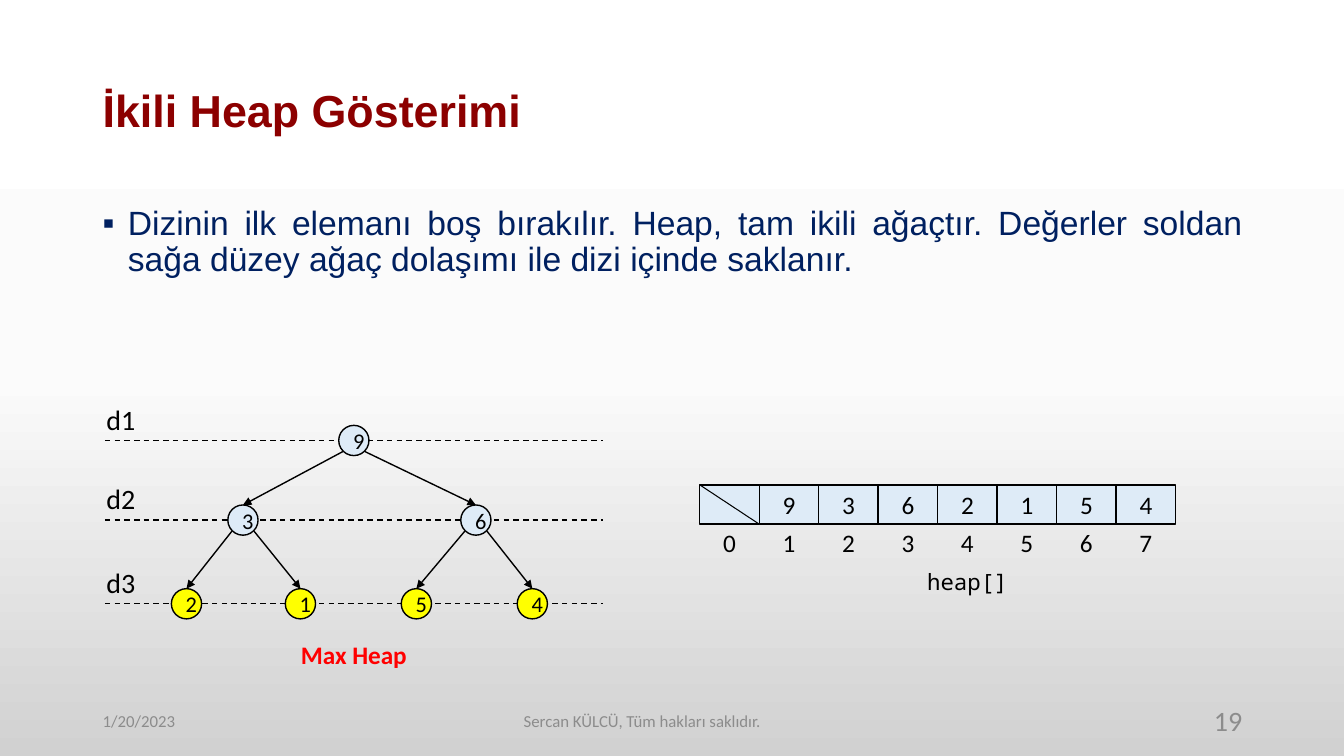
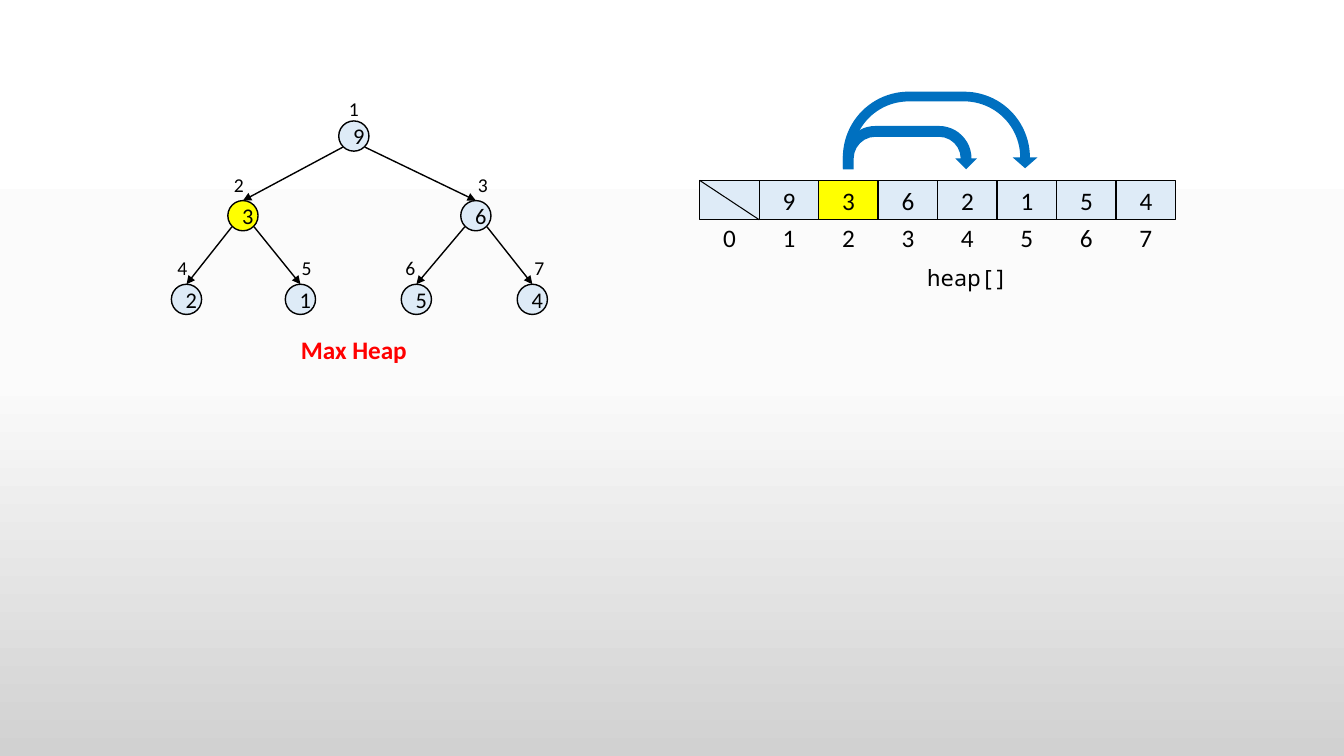
from lxml import etree
from pptx import Presentation
from pptx.dml.color import RGBColor
from pptx.enum.dml import MSO_LINE
from pptx.enum.shapes import MSO_CONNECTOR, MSO_SHAPE
from pptx.enum.text import MSO_ANCHOR, PP_ALIGN
from pptx.oxml.ns import qn
from pptx.util import Inches, Pt

# Content
TITLE = "İkili Heap Gösterimi"
BODY = ("Dizinin ilk elemanı boş bırakılır. Heap, tam ikili ağaçtır. "
        "Değerler soldan sağa düzey ağaç dolaşımı ile dizi içinde saklanır.")
HEAP = [9, 3, 6, 2, 1, 5, 4]
LEVELS = ["d1", "d2", "d3"]
CAPTION = "Max Heap"
ARRAY_NAME = "heap[]"
# text, left, width, alignment, size
FOOTER = [
    ("1/20/2023", 0.92, 3, PP_ALIGN.LEFT, 12),
    ("Sercan KÜLCÜ, Tüm hakları saklıdır.", 2.58, 7.58, PP_ALIGN.CENTER, 12),
    ("19", 9.42, 3, PP_ALIGN.RIGHT, 20),
]
# left, top, width, height, adjustments
CHILD_ARROWS = [
    (8.36, 1.25, 1.33, 0.43, (0.25, 0.25, 0.25, 0.75, 1)),
    (8.36, 0.91, 1.93, 0.76, (0.127, 0.161, 0.141, 0.859, 1)),
]

# Shared style
BLACK, RED, MAROON, NAVY = "000000", "FF0000", "8C0000", "002060"
GREY, PALE, YELLOW, BLUE = "8C8C8C", "DEEBF7", "FFFF00", "0070C0"
BACKGROUND = [(0, "FFFFFF"), (50, "FBFBFB"), (100, "D1D1D1")]
MARGIN, CONTENT_W = 0.92, 11.5

# Tree and array geometry
NODE = 0.3
NODE_X = [3.51, 2.41, 4.72, 1.85, 2.98, 4.13, 5.28]
LEVEL_Y = [0, 0.79, 1.62]
INDEX_SHIFT = [0, -0.04, 0.07, -0.04, 0.06, -0.06, 0.07]
INDEX_RISE = [0.29, 0.32, 0.33]
ARRAY_LEFT, ARRAY_DROP = 6.94, 0.59
CELL_W, CELL_H = 0.59, 0.39


def color(value):
    return RGBColor.from_string(value)


def level_of(index):
    """Depth of a heap index that counts from 1."""
    return index.bit_length() - 1


def write(shape, text, size, ink=BLACK, font="Calibri", bold=False,
          align=PP_ALIGN.CENTER, anchor=MSO_ANCHOR.MIDDLE):
    frame = shape.text_frame
    frame.text = text
    frame.vertical_anchor = anchor
    para = frame.paragraphs[0]
    para.alignment = align
    for span in para.runs:
        span.font.size, span.font.name, span.font.bold = Pt(size), font, bold
        span.font.color.rgb = color(ink)
    return para


def add_text(page, text, left, top, width, height, size, wrap=False, **style):
    box = page.shapes.add_textbox(*map(Inches, (left, top, width, height)))
    box.text_frame.word_wrap = wrap
    return write(box, text, size, **style)


def add_label(page, text, center, top, size, width=0.5, height=0.4, **style):
    add_text(page, text, center - width / 2, top, width, height, size,
             anchor=MSO_ANCHOR.TOP, **style)


def add_shape(page, kind, left, top, width, height, fill, outline=BLACK):
    shape = page.shapes.add_shape(kind, *map(Inches, (left, top, width, height)))
    shape.shadow.inherit = False
    shape.fill.solid()
    shape.fill.fore_color.rgb = color(fill)
    if outline:
        shape.line.color.rgb = color(outline)
        shape.line.width = Pt(1)
    else:
        shape.line.fill.background()
    return shape


def add_line(page, start, end, width=1, dashed=False, arrow=False):
    line = page.shapes.add_connector(MSO_CONNECTOR.STRAIGHT,
                                     *map(Inches, (*start, *end)))
    line.line.color.rgb = color(BLACK)
    line.line.width = Pt(width)
    if dashed:
        line.line.dash_style = MSO_LINE.DASH
    if arrow:
        etree.SubElement(line.line._get_or_add_ln(), qn("a:tailEnd"), type="triangle")
    etree.SubElement(line._element.spPr, qn("a:effectLst"))


def set_background(master):
    fill = master.background.fill
    fill.gradient()
    fill.gradient_angle = 270
    stops = master._element.find(".//" + qn("p:bgPr")).find(".//" + qn("a:gsLst"))
    for stop in list(stops):
        stops.remove(stop)
    for share, value in BACKGROUND:
        stop = etree.SubElement(stops, qn("a:gs"), pos=str(share * 1000))
        etree.SubElement(stop, qn("a:srgbClr"), val=value)


def add_heading(page):
    para = add_text(page, TITLE, MARGIN, 0.4, CONTENT_W, 1.45, 32, wrap=True,
                    ink=MAROON, font="Arial", bold=True, align=PP_ALIGN.LEFT)
    para.line_spacing = 0.9


def add_body(page):
    para = add_text(page, BODY, MARGIN, 2, CONTENT_W, 1.5, 24, wrap=True,
                    ink=NAVY, font="Arial", align=PP_ALIGN.JUSTIFY,
                    anchor=MSO_ANCHOR.TOP)
    para.line_spacing = 0.9
    props = para._p.get_or_add_pPr()
    props.set("marL", str(Inches(0.25)))
    props.set("indent", str(-Inches(0.25)))
    etree.SubElement(props, qn("a:buFont"), typeface="Arial")
    etree.SubElement(props, qn("a:buChar"), char="▪")


def add_footer(page):
    for text, left, width, align, size in FOOTER:
        add_text(page, text, left, 6.95, width, 0.4, size, wrap=True,
                 ink=GREY, align=align)


def add_levels(page, top):
    for name, drop in zip(LEVELS, LEVEL_Y):
        middle = top + drop + NODE / 2
        add_line(page, (1.04, middle), (5.98, middle), dashed=True)
        add_label(page, name, 1.2, middle - 0.43, 20)


def add_tree(page, top, marked, show_index=False):
    """Draw the heap as a tree; marked holds the indices shown in yellow."""
    for index, (value, x) in enumerate(zip(HEAP, NODE_X), start=1):
        level = level_of(index)
        y = top + LEVEL_Y[level]
        if index > 1:
            side = -0.11 if index % 2 == 0 else 0.11
            parent_x = NODE_X[index // 2 - 1]
            parent_y = top + LEVEL_Y[level - 1]
            add_line(page, (parent_x + side, parent_y + 0.26), (x, y), arrow=True)
        node = add_shape(page, MSO_SHAPE.OVAL, x - NODE / 2, y, NODE, NODE,
                         YELLOW if index in marked else PALE)
        write(node, str(value), 16)
        if show_index:
            add_label(page, str(index), x + INDEX_SHIFT[index - 1],
                      y - INDEX_RISE[level], 14, width=0.3, height=0.34)
    add_label(page, CAPTION, NODE_X[0], top + 2.07, 18, width=1.26,
              ink=RED, bold=True)


def add_array(page, top, marked=()):
    """Draw the heap as an array whose cell 0 stays empty."""
    for index, value in enumerate(["", *HEAP]):
        left = ARRAY_LEFT + index * CELL_W
        cell = add_shape(page, MSO_SHAPE.RECTANGLE, left, top, CELL_W, CELL_H,
                         YELLOW if index in marked else PALE)
        if index:
            write(cell, str(value), 18)
        add_label(page, str(index), left + CELL_W / 2, top + 0.37, 18, width=0.33)
    add_line(page, (ARRAY_LEFT, top), (ARRAY_LEFT + CELL_W, top + CELL_H), width=0.75)
    add_label(page, ARRAY_NAME, ARRAY_LEFT + 4.5 * CELL_W, top + 0.78, 16,
              width=1.01, height=0.37, font="Noto Sans Mono")


def add_child_arrows(page):
    for left, top, width, height, bends in CHILD_ARROWS:
        arrow = add_shape(page, MSO_SHAPE.U_TURN_ARROW, left, top, width, height,
                          BLUE, outline=None)
        for position, bend in enumerate(bends):
            arrow.adjustments[position] = bend


def main():
    deck = Presentation()
    deck.slide_width, deck.slide_height = Inches(13.33), Inches(7.5)
    set_background(deck.slide_master)
    blank = deck.slide_layouts[6]

    # Heap as tree and array
    page, top = deck.slides.add_slide(blank), 4.22
    add_heading(page)
    add_body(page)
    add_footer(page)
    add_levels(page, top)
    add_tree(page, top, marked=(4, 5, 6, 7))
    add_array(page, top + ARRAY_DROP)

    # Children of node 2
    page, top = deck.slides.add_slide(blank), 1.2
    add_array(page, top + ARRAY_DROP, marked=(2,))
    add_tree(page, top, marked=(2,), show_index=True)
    add_child_arrows(page)

    deck.save("out.pptx")


if __name__ == "__main__":
    main()
